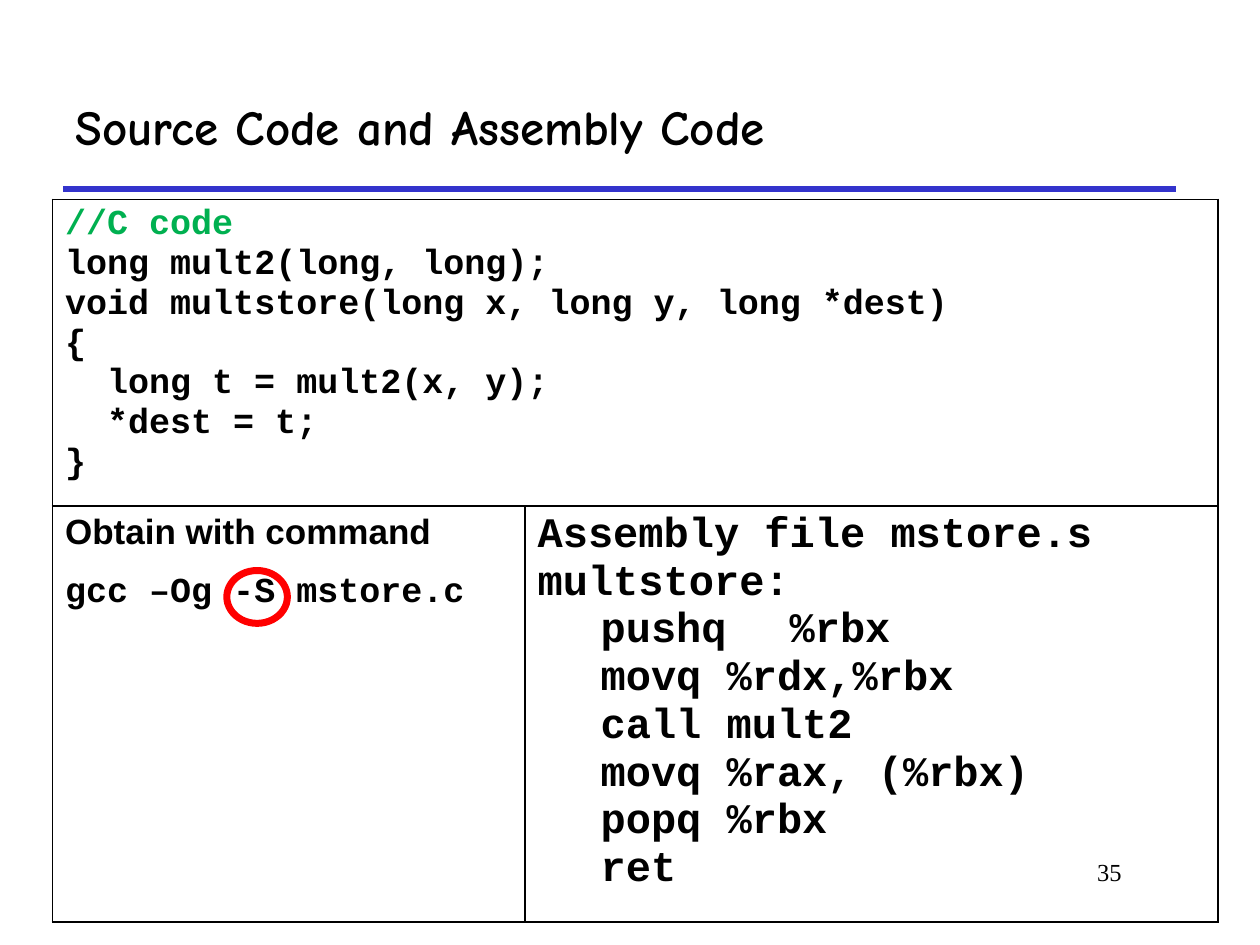
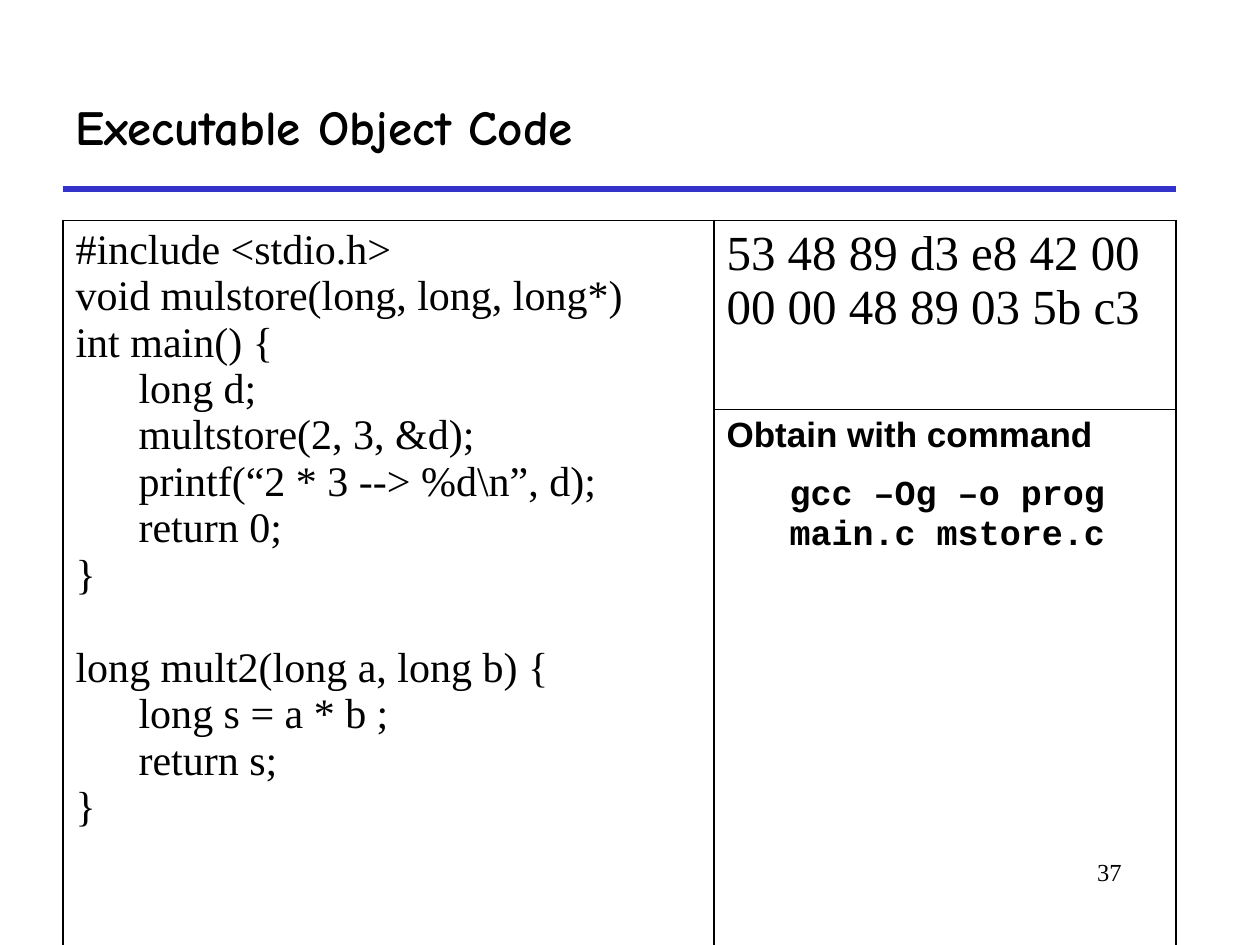
from lxml import etree
from pptx import Presentation
from pptx.dml.color import RGBColor
from pptx.enum.shapes import MSO_CONNECTOR, MSO_SHAPE
from pptx.enum.text import MSO_ANCHOR, PP_ALIGN
from pptx.oxml.ns import qn
from pptx.util import Pt

LEFT, RIGHT = PP_ALIGN.LEFT, PP_ALIGN.RIGHT
MIDDLE = MSO_ANCHOR.MIDDLE
STRAIGHT = MSO_CONNECTOR.STRAIGHT
OVAL = MSO_SHAPE.OVAL

BLACK = RGBColor(0x00, 0x00, 0x00)
BLUE = RGBColor(0x33, 0x33, 0xCC)
GREEN = RGBColor(0x00, 0xB0, 0x50)
RED = RGBColor(0xFF, 0x00, 0x00)

# Text formats
TITLE = {"name": "Comic Neue", "size": Pt(28), "bold": True}
NUMBER = {"name": "Times New Roman", "size": Pt(14), "bold": False}
CODE = {"name": "Courier New", "size": Pt(20), "bold": True}
ASSEMBLY = {**CODE, "size": Pt(24)}
LABEL = {"name": "Arial", "size": Pt(20), "bold": True}
PROGRAM = {"name": "Times New Roman", "size": Pt(24), "bold": False}
BYTES = {**PROGRAM, "size": Pt(28)}

COMMAND_GAP = 12.5      # space above a shell command
BLANK_LINE = 26.6       # one line of PROGRAM text
C_INDENT = 24           # two CODE characters
PROGRAM_INDENT = 36
ASSEMBLY_TABS = (72, 158.4)  # operation and operand columns


def write(para, text, style, color=BLACK, indent=0, before=0, tabs=()):
    """Put one formatted line of text into a paragraph."""
    span = para.add_run()
    span.text = text
    for name, value in style.items():
        setattr(span.font, name, value)
    span.font.color.rgb = color
    para.space_before = Pt(before)
    properties = para._p.get_or_add_pPr()
    properties.set("marL", str(Pt(indent)))
    properties.set("indent", "0")
    if tabs:
        stops = etree.SubElement(properties, qn("a:tabLst"))
        for position in tabs:
            etree.SubElement(stops, qn("a:tab"), pos=str(Pt(position)), algn="l")


def add_grid(page, left, top, columns, rows, merged, contents):
    """Add a ruled table; contents maps (row, column) to lines of text."""
    table = page.shapes.add_table(
        len(rows), len(columns), Pt(left), Pt(top), Pt(sum(columns)), Pt(sum(rows))
    ).table
    table.first_row = table.horz_banding = False
    for column, width in zip(table.columns, columns):
        column.width = Pt(width)
    for row, height in zip(table.rows, rows):
        row.height = Pt(height)
    for cell in table.iter_cells():
        properties = cell._tc.get_or_add_tcPr()
        for side in ("lnL", "lnR", "lnT", "lnB"):
            border = etree.SubElement(properties, qn(f"a:{side}"), w=str(Pt(1.08)))
            fill = etree.SubElement(border, qn("a:solidFill"))
            etree.SubElement(fill, qn("a:srgbClr"), val=str(BLACK))
        cell.fill.background()
    table.cell(0, 0).merge(table.cell(*merged))
    for place, lines in contents.items():
        frame = table.cell(*place).text_frame
        for index, (text, style, layout) in enumerate(lines):
            para = frame.add_paragraph() if index else frame.paragraphs[0]
            write(para, text, style, **layout)


deck = Presentation()
deck.slide_width, deck.slide_height = Pt(720), Pt(540)

# Shared frame: rule, page number and title
pages = []
for heading, number in (
    ("Source Code and Assembly Code", "35"),
    ("Executable Object Code", "37"),
):
    page = deck.slides.add_slide(deck.slide_layouts[5])
    pages.append(page)

    title = page.shapes.title
    title.left, title.top, title.width, title.height = Pt(36), Pt(36), Pt(636), Pt(72)
    title.text_frame.vertical_anchor = MIDDLE
    para = title.text_frame.paragraphs[0]
    para.alignment = LEFT
    write(para, heading, TITLE)

    rule = page.shapes.add_connector(STRAIGHT, Pt(36), Pt(108), Pt(672), Pt(108))
    rule.line.color.rgb = BLUE
    rule.line.width = Pt(3)
    etree.SubElement(rule._element.spPr, qn("a:effectLst"))

    box = page.shapes.add_textbox(Pt(546), Pt(486), Pt(102), Pt(36))
    box.text_frame.word_wrap = True
    para = box.text_frame.paragraphs[0]
    para.alignment = RIGHT
    write(para, number, NUMBER)

source_page, executable_page = pages

# Source and assembly code
c_code = [
    ("//C code", CODE, {"color": GREEN}),
    ("long mult2(long, long);", CODE, {}),
    ("void multstore(long x, long y, long *dest)", CODE, {}),
    ("{", CODE, {}),
    ("long t = mult2(x, y);", CODE, {"indent": C_INDENT}),
    ("*dest = t;", CODE, {"indent": C_INDENT}),
    ("}", CODE, {}),
]
compile_command = [
    ("Obtain with command", LABEL, {}),
    ("gcc –Og -S mstore.c", CODE, {"before": COMMAND_GAP}),
]
assembly = [
    (text, ASSEMBLY, {"tabs": ASSEMBLY_TABS})
    for text in (
        "Assembly file mstore.s",
        "multstore:",
        "\tpushq\t%rbx",
        "\tmovq\t%rdx,%rbx",
        "\tcall\tmult2",
        "\tmovq\t%rax, (%rbx)",
        "\tpopq\t%rbx",
        "\tret",
    )
]
add_grid(
    source_page, 30, 114, columns=(270, 396), rows=(175, 237.6), merged=(0, 1),
    contents={(0, 0): c_code, (1, 0): compile_command, (1, 1): assembly},
)

# Ring around the -S option
ring = source_page.shapes.add_shape(OVAL, Pt(129.6), Pt(326), Pt(34.6), Pt(30.2))
ring.shadow.inherit = False
ring.fill.background()
ring.line.color.rgb = RED
ring.line.width = Pt(4)

# Executable object code
program = [
    ("#include <stdio.h>", PROGRAM, {}),
    ("void mulstore(long, long, long*)", PROGRAM, {}),
    ("int main() {", PROGRAM, {}),
    ("long d;", PROGRAM, {"indent": PROGRAM_INDENT}),
    ("multstore(2, 3, &d);", PROGRAM, {"indent": PROGRAM_INDENT}),
    ("printf(“2 * 3 --> %d\\n”, d);", PROGRAM, {"indent": PROGRAM_INDENT}),
    ("return 0;", PROGRAM, {"indent": PROGRAM_INDENT}),
    ("}", PROGRAM, {}),
    ("long mult2(long a, long b) {", PROGRAM, {"before": BLANK_LINE}),
    ("long s = a * b ;", PROGRAM, {"indent": PROGRAM_INDENT}),
    ("return s;", PROGRAM, {"indent": PROGRAM_INDENT}),
    ("}", PROGRAM, {}),
]
machine_code = [("53 48 89 d3 e8 42 00 00 00 48 89 03 5b c3", BYTES, {})]
link_command = [
    ("Obtain with command", LABEL, {}),
    ("gcc –Og –o prog main.c mstore.c", CODE, {"indent": 36, "before": COMMAND_GAP}),
]
add_grid(
    executable_page, 36, 126, columns=(372, 264), rows=(108, 381.6), merged=(1, 0),
    contents={(0, 0): program, (0, 1): machine_code, (1, 1): link_command},
)

deck.save("out.pptx")
